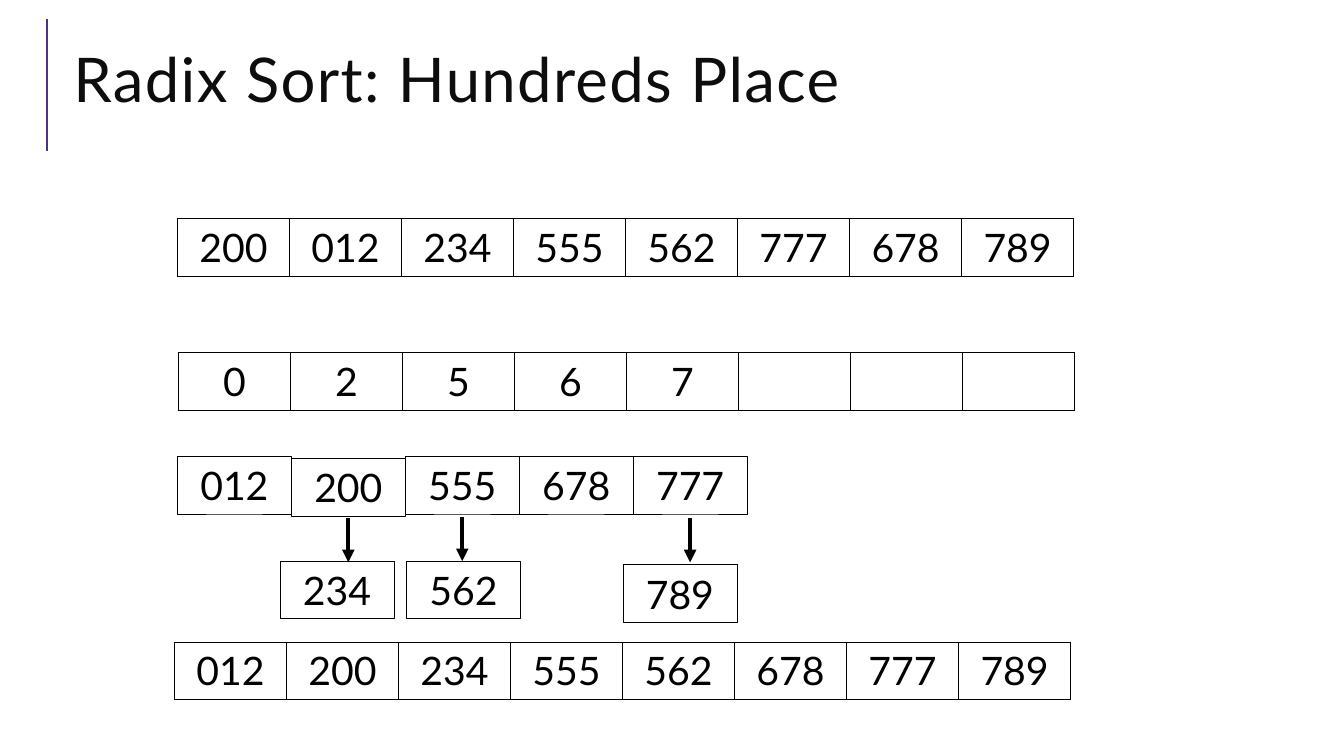
"""Build the slide showing the hundreds-place pass of a radix sort."""
from dataclasses import dataclass

from lxml.etree import SubElement
from pptx import Presentation
from pptx.dml.color import RGBColor as Rgb
from pptx.enum.shapes import MSO_CONNECTOR as Connector, MSO_SHAPE as Preset
from pptx.enum.text import MSO_ANCHOR as Anchor, MSO_AUTO_SIZE as AutoSize, PP_ALIGN as Align
from pptx.oxml.ns import qn
from pptx.util import Inches, Pt

COLOURS = {"ink": "000000", "title": "0D0D0D", "accent": "4C3282", "paper": "FFFFFF"}
FONT = "Lato"
GRID_LEFT, GRID_TOP = 1.76, 4.53
COLUMN, ROW = 1.13, 0.57
ARRAY_WIDTH = 8.89


@dataclass(frozen=True)
class Array:
    left: float
    top: float
    values: tuple[str, ...]


@dataclass(frozen=True)
class Entry:
    value: str
    column: float
    row: float = 0


@dataclass(frozen=True)
class Link:
    column: float
    row: float


ARRAYS = (
    Array(1.76, 2.17, ("200", "012", "234", "555", "562", "777", "678", "789")),
    Array(1.77, 3.5, ("0", "2", "5", "6", "7", "", "", "")),
    Array(1.73, 6.37, ("012", "200", "234", "555", "562", "678", "777", "789")),
)
ENTRIES = (
    Entry("012", 0), Entry("200", 1, 0.03), Entry("555", 2), Entry("678", 3), Entry("777", 4),
    Entry("234", 0.9, 1.82), Entry("562", 2.01, 1.82), Entry("789", 3.91, 1.88),
)
LINKS = (Link(1.5, 1.07), Link(2.5, 1.05), Link(4.5, 1.07))
LINK_ROWS = 0.77


def colour(name: str) -> Rgb:
    return Rgb.from_string(COLOURS[name])


def grid_x(column: float) -> int:
    return Inches(GRID_LEFT + column * COLUMN)


def grid_y(row: float) -> int:
    return Inches(GRID_TOP + row * ROW)


def style(paragraph, size: float, ink: str, align: Align) -> None:
    paragraph.alignment = align
    paragraph.font.name = FONT
    paragraph.font.size = Pt(size)
    paragraph.font.color.rgb = colour(ink)


def draw_line(slide, start: tuple, end: tuple, ink: str, width: float):
    line = slide.shapes.add_connector(Connector.STRAIGHT, *start, *end)
    line.line.color.rgb = colour(ink)
    line.line.width = Pt(width)
    SubElement(line._element.spPr, qn("a:effectLst"))
    return line


def draw_title(slide, text: str) -> None:
    draw_line(slide, (Inches(0.47), Inches(1.5)), (Inches(0.47), Inches(0.19)), "accent", 1.5)
    title = slide.shapes.add_textbox(Inches(0.63), Inches(0.29), Inches(12.23), Inches(1.11))
    frame = title.text_frame
    frame.word_wrap = True
    frame.vertical_anchor = Anchor.MIDDLE
    frame.text = text
    heading = frame.paragraphs[0]
    heading.line_spacing = 0.8
    style(heading, 44, "title", Align.LEFT)
    heading._p.pPr.find(qn("a:defRPr")).set("spc", "100")


def draw_array(slide, array: Array) -> None:
    count = len(array.values)
    table = slide.shapes.add_table(
        1, count, Inches(array.left), Inches(array.top), Inches(ARRAY_WIDTH), Inches(ROW)
    ).table
    table.first_row = table.horz_banding = False
    for cell, value in zip(table.iter_cells(), array.values):
        properties = cell._tc.get_or_add_tcPr()
        for side in ("lnL", "lnR", "lnT", "lnB"):
            border = SubElement(properties, qn(f"a:{side}"), w=str(Pt(1)))
            ink = SubElement(border, qn("a:solidFill"))
            SubElement(ink, qn("a:srgbClr"), val=COLOURS["ink"])
        cell.fill.solid()
        cell.fill.fore_color.rgb = colour("paper")
        cell.text = value
        style(cell.text_frame.paragraphs[0], 28, "ink", Align.CENTER)


def draw_entry(slide, entry: Entry) -> None:
    box = slide.shapes.add_shape(
        Preset.RECTANGLE, grid_x(entry.column), grid_y(entry.row), Inches(COLUMN), Inches(ROW)
    )
    box.shadow.inherit = False
    box.fill.background()
    box.line.color.rgb = colour("ink")
    box.line.width = Pt(0.25)
    box.text_frame.auto_size = AutoSize.SHAPE_TO_FIT_TEXT
    box.text_frame.text = entry.value
    style(box.text_frame.paragraphs[0], 28, "ink", Align.CENTER)


def draw_link(slide, link: Link) -> None:
    x = grid_x(link.column)
    arrow = draw_line(
        slide, (x, grid_y(link.row)), (x, grid_y(link.row + LINK_ROWS)), "ink", 3
    )
    SubElement(arrow.line._get_or_add_ln(), qn("a:tailEnd"), type="triangle")


def main() -> None:
    deck = Presentation()
    deck.slide_width, deck.slide_height = Inches(13.33), Inches(7.5)
    slide = deck.slides.add_slide(deck.slide_layouts[6])
    draw_title(slide, "Radix Sort: Hundreds Place")
    for array in ARRAYS:
        draw_array(slide, array)
    for entry in ENTRIES:
        draw_entry(slide, entry)
    for link in LINKS:
        draw_link(slide, link)
    deck.save("out.pptx")


if __name__ == "__main__":
    main()
